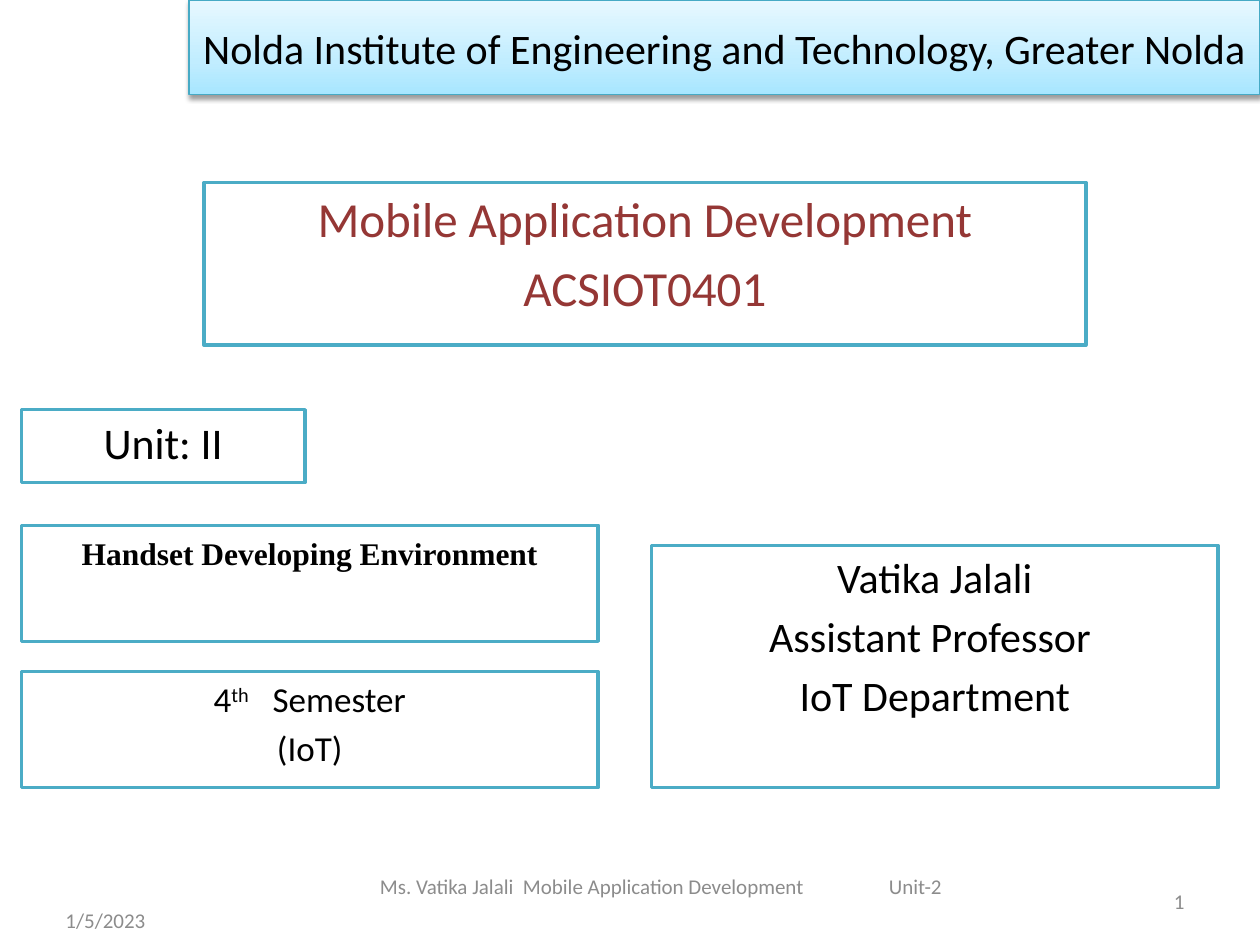
from copy import deepcopy

from lxml import etree
from pptx import Presentation
from pptx.dml.color import RGBColor
from pptx.enum.shapes import MSO_SHAPE
from pptx.enum.text import MSO_ANCHOR, PP_ALIGN
from pptx.oxml.ns import qn
from pptx.util import Cm, Pt

RECTANGLE = MSO_SHAPE.RECTANGLE
TOP, MIDDLE = MSO_ANCHOR.TOP, MSO_ANCHOR.MIDDLE
LEFT, CENTER, RIGHT = PP_ALIGN.LEFT, PP_ALIGN.CENTER, PP_ALIGN.RIGHT

BLACK, WHITE, GREY = "000000", "FFFFFF", "8C8C8C"
MAROON, TEAL = "953735", "4BACC6"
BANNER_STOPS = [(0, "A7E6FF"), (0.35, "C1EDFF"), (1, "E7F8FF")]
LEFT_EDGE, LEFT_WIDTH, LEFT_HEIGHT = 0.43, 11.63, 2.34
SPACED = {"space_before": 20}


def rgb(color):
    return RGBColor.from_string(color)


def add_xml(parent, tag, **attributes):
    return etree.SubElement(parent, qn(tag), attributes)


def write(frame, lines, size, color=BLACK, font="Calibri", bold=False,
          align=CENTER, anchor=TOP, spacing=None):
    """Fill a text frame; a line is a string or a list of (text, rPr attributes)."""
    frame.word_wrap = True
    frame.vertical_anchor = anchor
    for index, line in enumerate(lines):
        paragraph = frame.paragraphs[0] if index == 0 else frame.add_paragraph()
        paragraph.alignment = align
        for name, value in (spacing or {}).items():
            if name == "space_before":
                before = add_xml(paragraph._p.get_or_add_pPr(), "a:spcBef")
                add_xml(before, "a:spcPct", val=str(value * 1000))
            else:
                setattr(paragraph, name, value)
        for text, attributes in [(line, {})] if isinstance(line, str) else line:
            run = paragraph.add_run()
            run.text = text
            run.font.color.rgb = rgb(color)
            formats = {"size": Pt(size), "name": font, "bold": bold}
            for name, value in formats.items():
                setattr(run.font, name, value)
            for name, value in attributes.items():
                run.font._element.set(name, value)


def add_box(slide, place, lines, size, line_color=TEAL, line_width=2, **text_format):
    box = slide.shapes.add_shape(RECTANGLE, *map(Cm, place))
    box.shadow.inherit = False
    box.fill.solid()
    box.fill.fore_color.rgb = rgb(WHITE)
    box.line.color.rgb = rgb(line_color)
    box.line.width = Pt(line_width)
    write(box.text_frame, lines, size, **text_format)
    return box


def add_footer(slide, place, text, align):
    footer = slide.shapes.add_textbox(*map(Cm, place))
    write(footer.text_frame, [text], 12, color=GREY, align=align, anchor=MIDDLE)
    return footer


def shade_banner(banner):
    """Give the banner an upward three-stop gradient and a soft drop shadow."""
    banner.fill.gradient()
    banner.fill.gradient_angle = 90
    properties = banner._element.spPr
    stop_list = properties.find(".//" + qn("a:gsLst"))
    stop_list.append(deepcopy(stop_list[0]))
    for stop, (position, color) in zip(banner.fill.gradient_stops, BANNER_STOPS):
        stop.position = position
        stop.color.rgb = rgb(color)
    effects = properties.find(qn("a:effectLst"))
    shadow = add_xml(effects, "a:outerShdw", blurRad=str(Pt(3.1)), dist=str(Pt(1.6)),
                     dir="5400000", rotWithShape="0")
    add_xml(add_xml(shadow, "a:srgbClr", val=BLACK), "a:alpha", val="38000")


def add_course_footer(slide):
    """Write course and unit, parted by a tab stop."""
    footer = add_footer(slide, (6.35, 17.35, 13.97, 1.02),
                        "Ms. Vatika Jalali  Mobile Application Development\tUnit-2", LEFT)
    footer.text_frame.margin_left = Cm(1.31)
    tabs = add_xml(footer.text_frame.paragraphs[0]._p.get_or_add_pPr(), "a:tabLst")
    add_xml(tabs, "a:tab", pos=str(Cm(10.26)), algn="l")


def main():
    deck = Presentation()
    deck.slide_width, deck.slide_height = Cm(25.4), Cm(19.05)
    slide = deck.slides.add_slide(deck.slide_layouts[6])

    banner = add_box(slide, (3.81, 0, 21.59, 1.91),
                     ["Nolda Institute of Engineering and Technology, Greater Nolda"],
                     24, line_color="46AAC5", line_width=0.75, anchor=MIDDLE)
    shade_banner(banner)
    add_box(slide, (4.11, 3.68, 17.78, 3.28),
            ["Mobile Application Development", "ACSIOT0401"],
            28, color=MAROON, spacing=SPACED)
    add_box(slide, (13.13, 11, 11.43, 4.88),
            ["Vatika Jalali", "Assistant Professor ", "IoT Department"],
            24, spacing=SPACED)

    add_box(slide, (LEFT_EDGE, 8.26, 5.72, 1.47), ["Unit: II"], 25, spacing=SPACED)
    add_box(slide, (LEFT_EDGE, 10.59, LEFT_WIDTH, LEFT_HEIGHT),
            ["Handset Developing Environment"], 18, font="Times New Roman", bold=True,
            spacing={"line_spacing": 1.07, "space_after": Pt(8)})
    semester = [("4", {}), ("th", {"baseline": "30000"}), (" ", {"spc": "900"}),
                ("Semester", {})]
    add_box(slide, (LEFT_EDGE, 13.54, LEFT_WIDTH, LEFT_HEIGHT),
            [semester, "(IoT)"], 20, spacing=SPACED)

    add_footer(slide, (1.07, 18.03, 5.92, 1.02), "1/5/2023", LEFT)
    add_footer(slide, (18.21, 17.65, 5.92, 1.02), "1", RIGHT)
    add_course_footer(slide)
    deck.save("out.pptx")


if __name__ == "__main__":
    main()
